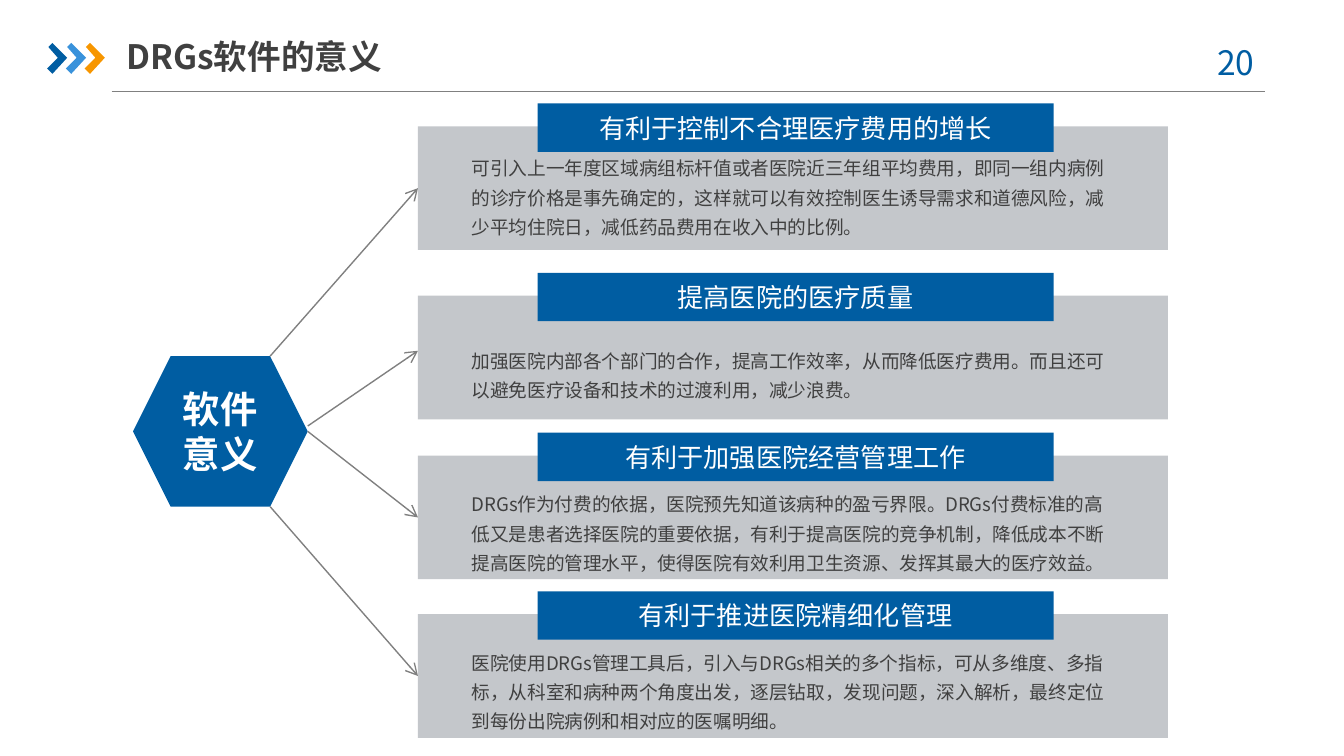
from lxml import etree
from pptx import Presentation
from pptx.dml.color import RGBColor
from pptx.enum.shapes import MSO_CONNECTOR, MSO_SHAPE
from pptx.enum.text import MSO_ANCHOR, PP_ALIGN
from pptx.oxml.ns import qn
from pptx.util import Pt

RECTANGLE, HEXAGON = MSO_SHAPE.RECTANGLE, MSO_SHAPE.HEXAGON
STRAIGHT = MSO_CONNECTOR.STRAIGHT
TOP, MIDDLE = MSO_ANCHOR.TOP, MSO_ANCHOR.MIDDLE
LEFT, CENTER = PP_ALIGN.LEFT, PP_ALIGN.CENTER
LEFT_SIDE = 1
PX = 9144
PAGE_WIDTH = 1000
FONT = "Noto Sans CJK SC"
COLORS = {"blue": "005DA2", "sky": "3992DB", "orange": "F79600", "panel": "C4C7CB",
          "text": "404040", "line": "808080", "white": "FFFFFF"}

HUB_BOX = (99, 265, 130, 112)
PANELS = [
    ((311, 94, 558, 92), (201, 265), 46, 14, 73, "有利于控制不合理医疗费用的增长",
     "可引入上一年度区域病组标杆值或者医院近三年组平均费用，即同一组内病例的诊疗价格是事先确定的，"
     "这样就可以有效控制医生诱导需求和道德风险，减少平均住院日，减低药品费用在收入中的比例。"),
    ((311, 220, 558, 92), (229, 317), 41, 31, 49, "提高医院的医疗质量",
     "加强医院内部各个部门的合作，提高工作效率，从而降低医疗费用。"
     "而且还可以避免医疗设备和技术的过渡利用，减少浪费。"),
    ((311, 339, 558, 92), (229, 321), 46, 19, 73, "有利于加强医院经营管理工作",
     "DRGs作为付费的依据，医院预先知道该病种的盈亏界限。DRGs付费标准的高低又是患者选择医院的重要依据，"
     "有利于提高医院的竞争机制，降低成本不断提高医院的管理水平，使得医院有效利用卫生资源、发挥其最大的医疗效益。"),
    ((311, 457, 558, 92), (201, 377), 46, 19, 73, "有利于推进医院精细化管理",
     "医院使用DRGs管理工具后，引入与DRGs相关的多个指标，可从多维度、多指标，从科室和病种两个角度出发，"
     "逐层钻取，发现问题，深入解析，最终定位到每份出院病例和相对应的医嘱明细。"),
]


def emu(*lengths):
    return [length * PX for length in lengths]


def color(name):
    return RGBColor.from_string(COLORS[name])


def write(shape, text, size, ink, align=LEFT, anchor=TOP, bold=False, insets=(7, 4), spacing=None):
    frame = shape.text_frame
    frame.word_wrap = True
    frame.vertical_anchor = anchor
    frame.margin_left = frame.margin_right = insets[0] * PX
    frame.margin_top = frame.margin_bottom = insets[1] * PX
    para = frame.paragraphs[0]
    para.alignment = align
    if spacing:
        para.line_spacing = spacing
    span = para.add_run()
    span.text = text
    span.font.size = Pt(size)
    span.font.bold = bold
    span.font.name = FONT
    span.font.color.rgb = color(ink)
    latin = span.font._element.find(qn("a:latin"))
    east_asian = etree.Element(qn("a:ea"), typeface=FONT)
    latin.addnext(east_asian)


def paint(shape, fill):
    shape.shadow.inherit = False
    shape.fill.solid()
    shape.fill.fore_color.rgb = color(fill)
    shape.line.fill.background()


def add_block(page, kind, box, fill):
    block = page.shapes.add_shape(kind, *emu(*box))
    paint(block, fill)
    return block


def add_label(page, box, text, size, ink, **style):
    label = page.shapes.add_textbox(*emu(*box))
    write(label, text, size, ink, **style)


def add_line(page, start, end, arrow=False):
    line = page.shapes.add_connector(STRAIGHT, *emu(*start, *end))
    line.line.color.rgb = color("line")
    line.line.width = Pt(0.75)
    etree.SubElement(line._element.spPr, qn("a:effectLst"))
    if arrow:
        etree.SubElement(line.line._get_or_add_ln(), qn("a:tailEnd"), type="arrow")
    return line


def add_chevron(page, left, top, fill):
    outline = [(1, 3), (4, 0), (15, 11), (4, 23), (0, 19), (8, 11)]
    points = [(left + x, top + y) for x, y in outline]
    builder = page.shapes.build_freeform(*points[0], scale=PX)
    builder.add_line_segments(points[1:], close=True)
    paint(builder.convert_to_shape(), fill)


def add_header(page, box):
    left, top, width, height = box
    for index, fill in enumerate(("blue", "sky", "orange")):
        add_chevron(page, left + 14 * index, top + 10, fill)
    add_line(page, (left + 48, top + height), (left + width, top + height))
    add_label(page, (left + 59, top - 1, 233, 42), "DRGs软件的意义", 18, "text",
              anchor=MIDDLE, bold=True, insets=(0, 5))
    add_label(page, (left + width - 58, top + 4, 73, 40), "20", 18, "blue",
              align=CENTER, insets=(10, 5))


def add_hub(page, box):
    hub = add_block(page, HEXAGON, box, "blue")
    hub.adjustments[0] = 0.25
    write(hub, "软件意义", 20, "white", align=CENTER, anchor=MIDDLE, bold=True)


def add_panel(page, box, start, arrow_offset, body_offset, body_height, heading, body):
    left, top, width, height = box
    panel = add_block(page, RECTANGLE, box, "panel")
    banner = add_block(page, RECTANGLE, (left + 89, top - 17, 384, 36), "blue")
    write(banner, heading, 14, "white", align=CENTER, anchor=MIDDLE)
    add_label(page, (left + 33, top + body_offset, 496, body_height), body, 10, "text", spacing=1.3)
    arrow = add_line(page, start, (left, top + arrow_offset), arrow=True)
    if arrow_offset * 2 == height:
        arrow.end_connect(panel, LEFT_SIDE)


def main():
    deck = Presentation()
    deck.slide_width = PAGE_WIDTH * PX
    deck.slide_height = deck.slide_width * 9 // 16
    page = deck.slides.add_slide(deck.slide_layouts[6])
    add_header(page, (35, 22, 906, 46))
    add_hub(page, HUB_BOX)
    for panel in PANELS:
        add_panel(page, *panel)
    deck.save("out.pptx")


if __name__ == "__main__":
    main()
